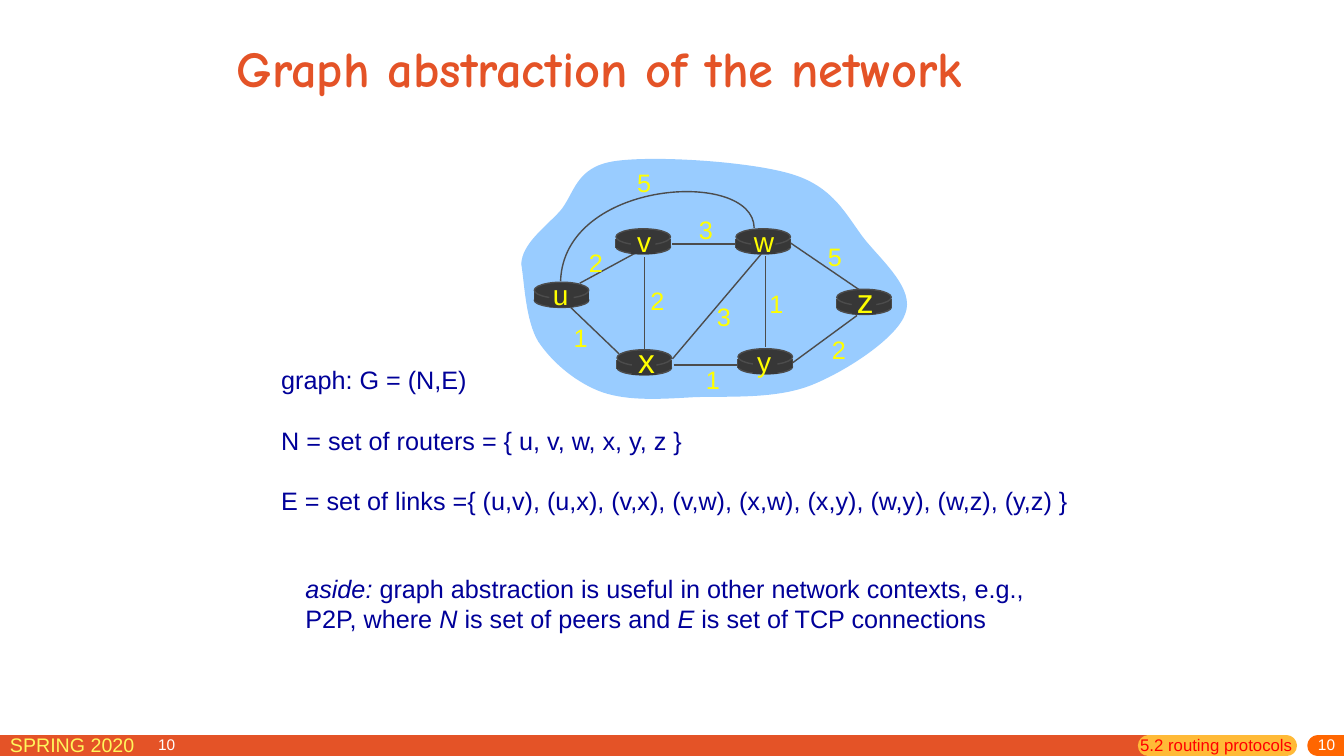
from lxml import etree
from pptx import Presentation
from pptx.dml.color import RGBColor
from pptx.enum.shapes import MSO_CONNECTOR, MSO_SHAPE
from pptx.enum.text import MSO_ANCHOR, PP_ALIGN
from pptx.oxml.ns import qn
from pptx.util import Inches, Pt

STRAIGHT = MSO_CONNECTOR.STRAIGHT
OVAL, RECT = MSO_SHAPE.OVAL, MSO_SHAPE.RECTANGLE
LEFT, CENTER, RIGHT = PP_ALIGN.LEFT, PP_ALIGN.CENTER, PP_ALIGN.RIGHT
TOP, MIDDLE = MSO_ANCHOR.TOP, MSO_ANCHOR.MIDDLE

COLORS = {
    "title": "E45327", "body": "000099", "label": "FFFF00", "cloud": "99CCFF",
    "router": "373737", "edge": "4C4C4C", "amber": "FFBA37", "orange": "FF6600",
    "term": "FFF65C", "white": "FFFFFF", "section": "FF0000",
}

TITLE = "Graph abstraction of the network"
DEFINITIONS = [
    [("graph: G = (N,E)", False)],
    [("N = set of routers = { u, v, w, x, y, z }", False)],
    [("E = set of links ={ (u,v), (u,x), (v,x), (v,w), (x,w), (x,y), "
      "(w,y), (w,z), (y,z) }", False)],
]
ASIDE = [
    [("aside:", True),
     (" graph abstraction is useful in other network contexts, e.g.,", False)],
    [("P2P, where ", False), ("N", True), (" is set of peers and ", False),
     ("E", True), (" is set of TCP connections", False)],
]

# name: left, top, letter size, letter centre from the left and from the top
ROUTERS = {
    "u": (5.30, 2.80, 20, 0.26, 0.12), "x": (6.12, 3.47, 24, 0.29, 0.10),
    "v": (6.11, 2.27, 20, 0.28, 0.12), "w": (7.30, 2.27, 20, 0.26, 0.12),
    "y": (7.32, 3.46, 20, 0.26, 0.12), "z": (8.30, 2.87, 24, 0.28, 0.11),
}
ROUTER_WIDTH = 0.54

# start, end, cost, centre of the cost
EDGES = [
    ((5.75, 2.81), (6.34, 2.49), "2", (5.91, 2.60)),  # u-v
    ((5.66, 3.05), (6.14, 3.51), "1", (5.76, 3.35)),  # u-x
    ((6.39, 2.55), (6.39, 3.48), "2", (6.52, 2.98)),  # v-x
    ((6.67, 2.42), (7.31, 2.42), "3", (7.00, 2.28)),  # v-w
    ((6.67, 3.56), (7.55, 2.52), "3", (7.18, 3.14)),  # x-w
    ((6.68, 3.62), (7.32, 3.62), "1", (7.07, 3.76)),  # x-y
    ((7.59, 2.54), (7.59, 3.44), "1", (7.70, 3.01)),  # w-y
    ((7.84, 2.41), (8.53, 2.88), "5", (8.28, 2.54)),  # w-z
    ((7.86, 3.60), (8.50, 3.13), "2", (8.32, 3.47)),  # y-z
]

# Bezier curves: a start, then control, control, end for each piece
ARC = [(7.48, 2.26), (7.47, 1.67), (5.59, 1.78), (5.56, 2.79)]
ARC_COST = ("5", (6.39, 1.81))
CLOUD = [
    (5.17, 2.62),
    (5.18, 2.42), (5.39, 2.27), (5.55, 2.10),
    (5.70, 1.93), (5.70, 1.66), (6.09, 1.60),
    (6.47, 1.54), (7.44, 1.60), (7.86, 1.73),
    (8.28, 1.86), (8.40, 2.15), (8.58, 2.38),
    (8.77, 2.61), (9.07, 2.87), (8.98, 3.11),
    (8.90, 3.35), (8.40, 3.68), (8.05, 3.82),
    (7.70, 3.96), (7.24, 3.93), (6.89, 3.94),
    (6.55, 3.96), (6.23, 3.98), (5.97, 3.89),
    (5.72, 3.80), (5.48, 3.60), (5.34, 3.39),
    (5.21, 3.18), (5.20, 2.78), (5.17, 2.62),
]

# start, end, colour, line cap
FOOTER_Y = 7.4
FOOTER_BARS = [
    (-0.18, 11.39, "title", "flat"),
    (11.39, 12.76, "amber", "rnd"),
    (13.07, 13.6, "orange", "rnd"),
]


def rgb(name):
    return RGBColor.from_string(COLORS[name])


def add_line(page, start, end, color="edge", width=1, cap="flat"):
    points = [Inches(value) for value in (*start, *end)]
    line = page.shapes.add_connector(STRAIGHT, *points)
    line.line.color.rgb = rgb(color)
    line.line.width = Pt(width)
    line.line._get_or_add_ln().set("cap", cap)
    etree.SubElement(line._element.spPr, qn("a:effectLst"))


def paint(shape, fill=None, line=None):
    shape.shadow.inherit = False
    if fill:
        shape.fill.solid()
        shape.fill.fore_color.rgb = rgb(fill)
    else:
        shape.fill.background()
    if line:
        shape.line.color.rgb = rgb(line)
        shape.line.width = Pt(1)
    else:
        shape.line.fill.background()


def add_block(page, kind, left, top, width, height, line=None):
    box = page.shapes.add_shape(kind, *map(Inches, (left, top, width, height)))
    paint(box, "router", line)


def add_curve(page, points, closed):
    """Lay the points out as a polygon, then turn each three segments into a Bezier."""
    start, *rest = [(Inches(x), Inches(y)) for x, y in points]
    builder = page.shapes.build_freeform(*start)
    builder.add_line_segments(rest, close=closed)
    shape = builder.convert_to_shape()
    segments = list(shape._element.iter(qn("a:lnTo")))
    for first in range(0, len(segments), 3):
        bezier = etree.Element(qn("a:cubicBezTo"))
        segments[first].addprevious(bezier)
        for segment in segments[first:first + 3]:
            bezier.append(segment[0])
            segment.getparent().remove(segment)
    return shape


def add_text(page, place, paragraphs, size, color, align=LEFT, anchor=TOP,
             font="Arial", bold=False, gap=0, insets=(0.05, 0.05), wrap=True):
    """Write paragraphs given as lists of (words, italic)."""
    box = page.shapes.add_textbox(*map(Inches, place))
    frame = box.text_frame
    frame.word_wrap = wrap
    frame.vertical_anchor = anchor
    frame.margin_top, frame.margin_bottom = map(Inches, insets)
    for index, runs in enumerate(paragraphs):
        para = frame.add_paragraph() if index else frame.paragraphs[0]
        para.alignment = align
        para.space_before = Pt(gap if index else 0)
        for words, italic in runs:
            span = para.add_run()
            span.text = words
            span.font.name = font
            span.font.size = Pt(size)
            span.font.bold = bold
            span.font.italic = italic
            span.font.color.rgb = rgb(color)


def add_label(page, text, center, size):
    width, height = 0.36, 0.4 if size < 20 else 0.43 if size < 24 else 0.5
    place = (center[0] - width / 2, center[1] - height / 2, width, height)
    add_text(page, place, [[(text, False)]], size, "label", CENTER, MIDDLE, wrap=False)


def add_router(page, name):
    left, top, size, shift, drop = ROUTERS[name]
    add_block(page, OVAL, left, top + 0.11, ROUTER_WIDTH, 0.14, "edge")
    for side in (left, left + ROUTER_WIDTH):
        add_line(page, (side, top + 0.1), (side, top + 0.19))
    add_block(page, RECT, left, top + 0.1, ROUTER_WIDTH, 0.09)
    add_block(page, OVAL, left, top, ROUTER_WIDTH, 0.16, "edge")
    add_block(page, RECT, left + 0.15, top + 0.02, 0.24, 0.23)
    add_label(page, name, (left + shift, top + drop), size)


def add_footer(page):
    for start, end, color, cap in FOOTER_BARS:
        add_line(page, (start, FOOTER_Y), (end, FOOTER_Y), color, 15, cap)
    add_text(page, (0, 7.22, 2.29, 0.31), [[("SPRING 2020", False)]], 14, "term")
    for left, align in ((1.47, LEFT), (10.75, RIGHT)):
        add_text(page, (left, 7.32, 2.59, 0.18), [[("10", False)]], 11, "white",
                 align, MIDDLE, insets=(0, 0.05))
    add_text(page, (11.21, 7.24, 1.84, 0.31), [[("5.2 routing protocols", False)]],
             12, "section")


def main():
    deck = Presentation()
    deck.slide_width, deck.slide_height = Inches(13.33), Inches(7.5)
    page = deck.slides.add_slide(deck.slide_layouts[6])

    add_footer(page)
    paint(add_curve(page, CLOUD, True), fill="cloud")
    paint(add_curve(page, ARC, False), line="edge")
    for start, end, _, _ in EDGES:
        add_line(page, start, end)
    for name in ROUTERS:
        add_router(page, name)
    for cost, center in [edge[2:] for edge in EDGES] + [ARC_COST]:
        add_label(page, cost, center, 18)

    add_text(page, (2.69, 3.57, 8.09, 1.6), DEFINITIONS, 18, "body", gap=21.4)
    add_text(page, (2.25, 0.23, 8.5, 0.87), [[(TITLE, False)]], 36, "title",
             anchor=MIDDLE, font="Comic Neue", bold=True)
    add_text(page, (2.93, 5.64, 7.4, 0.7), ASIDE, 18, "body")
    deck.save("out.pptx")


if __name__ == "__main__":
    main()
